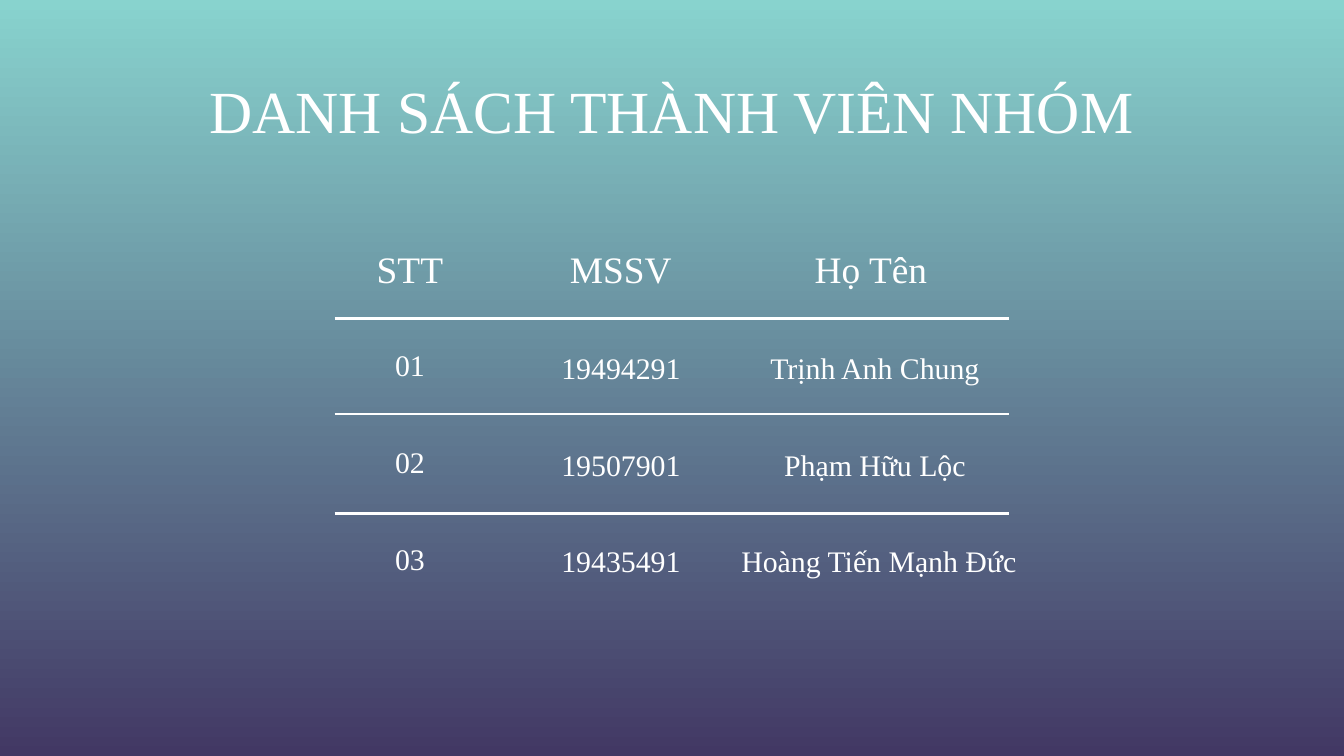
import pptx
import pptx.dml.color
import pptx.enum.shapes
import pptx.enum.text
import pptx.oxml.ns
import pptx.util
import lxml.etree

Inches = pptx.util.Inches
COLORS = {"text": "FFFFFF", "top": "88D3CE", "bottom": "423864"}
FONT = "Times New Roman"
MIDDLE = pptx.enum.text.MSO_ANCHOR.MIDDLE
TOP = pptx.enum.text.MSO_ANCHOR.TOP

CELL_WIDTH, CELL_HEIGHT = 1.92, 0.63
ROW_PITCH = 0.72
HEADERS = [("STT", 0), ("MSSV", 1.57), ("Họ Tên", 3.43)]
MEMBER_COLUMNS = [(0, 0), (1.57, 0.02), (3.46, 0.02)]
MEMBERS = [
    ("01", "19494291", "Trịnh Anh Chung"),
    ("02", "19507901", "Phạm Hữu Lộc"),
    ("03", "19435491", "Hoàng Tiến Mạnh Đức"),
]
WIDE_NAME = {"Hoàng Tiến Mạnh Đức": 2.3}
RULE_OFFSETS = [0.69, 1.4, 2.14]


def rgb(name):
    return pptx.dml.color.RGBColor.from_string(COLORS[name])


def set_attributes(target, values):
    for name, value in values.items():
        setattr(target, name, value)


def paint_background(slide):
    fill = slide.background.fill
    fill.gradient()
    fill.gradient_angle = 270
    for stop, name in zip(fill.gradient_stops, ("top", "bottom")):
        stop.color.rgb = rgb(name)


def add_text(slide, text, left, top, width, height, size, anchor=MIDDLE):
    shape = slide.shapes.add_textbox(
        Inches(left), Inches(top), Inches(width), Inches(height))
    frame = shape.text_frame
    margins = ("margin_left", "margin_top", "margin_right", "margin_bottom")
    set_attributes(frame, dict.fromkeys(margins, Inches(0.1)))
    set_attributes(frame, {"word_wrap": True, "vertical_anchor": anchor})
    paragraph = frame.paragraphs[0]
    paragraph.alignment = pptx.enum.text.PP_ALIGN.CENTER
    run = paragraph.add_run()
    run.text = text
    set_attributes(run.font, {"name": FONT, "size": pptx.util.Pt(size)})
    run.font.color.rgb = rgb("text")


def add_rule(slide, left, top, width):
    line = slide.shapes.add_connector(
        pptx.enum.shapes.MSO_CONNECTOR.STRAIGHT,
        Inches(left), Inches(top), Inches(left + width), Inches(top))
    line.line.width = pptx.util.Pt(1.5)
    line.line.color.rgb = rgb("text")
    lxml.etree.SubElement(
        line._element.spPr, pptx.oxml.ns.qn("a:effectLst"))


def add_title(slide, left, top, width, height):
    add_text(slide, "DANH SÁCH THÀNH VIÊN NHÓM",
             left, top, width, height, 32, TOP)


def add_member_list(slide, left, top):
    for text, x in HEADERS:
        add_text(slide, text, left + x, top, CELL_WIDTH, CELL_HEIGHT, 20)
    for offset in RULE_OFFSETS:
        add_rule(slide, left + 0.4, top + offset, 5.02)
    for row, member in enumerate(MEMBERS, start=1):
        for text, (x, y) in zip(member, MEMBER_COLUMNS):
            width = WIDE_NAME.get(text, CELL_WIDTH)
            center = left + x + CELL_WIDTH / 2
            if text in WIDE_NAME:
                center += 0.03
            add_text(slide, text, center - width / 2,
                     top + row * ROW_PITCH + y, width, CELL_HEIGHT, 16)


def main():
    presentation = pptx.Presentation()
    slide_width = Inches(10)
    set_attributes(presentation, {
        "slide_width": slide_width, "slide_height": slide_width * 9 // 16})
    slide = presentation.slides.add_slide(presentation.slide_layouts[6])
    paint_background(slide)
    add_title(slide, 1.13, 0.45, 7.74, 1.03)
    add_member_list(slide, 2.09, 1.68)
    presentation.save("out.pptx")


if __name__ == "__main__":
    main()
